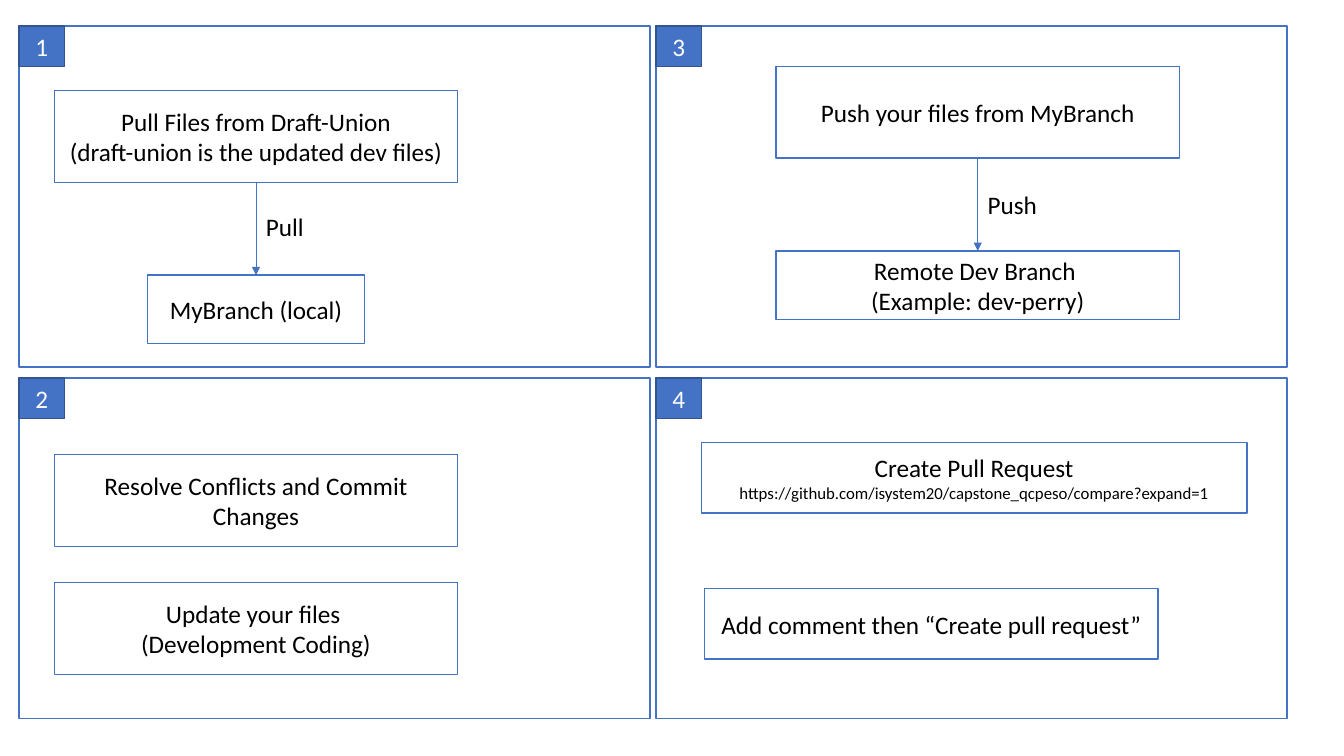
from dataclasses import dataclass

import pptx
import pptx.dml.color
import pptx.enum.dml
import pptx.enum.shapes
import pptx.enum.text
import pptx.oxml
import pptx.oxml.ns
import pptx.presentation
import pptx.shapes.autoshape
import pptx.slide
import pptx.text.text
import pptx.util

Pt = pptx.util.Pt
RGB = pptx.dml.color.RGBColor
ALIGN = pptx.enum.text.PP_ALIGN
ANCHOR = pptx.enum.text.MSO_ANCHOR


@dataclass(frozen=True)
class Theme:
    font: str = "Calibri"
    body_size: float = 18
    link_size: float = 12
    accent: RGB = RGB(0x44, 0x72, 0xC4)
    badge_edge: RGB = RGB(0x32, 0x54, 0x91)
    paper: RGB = RGB(0xFF, 0xFF, 0xFF)
    ink: RGB = RGB(0, 0, 0)
    box_line: float = 1
    arrow_line: float = 0.5


@dataclass(frozen=True)
class Box:
    """A rectangle in points; in its text, \\n starts a paragraph and \\v a line."""
    left: float
    top: float
    width: float
    height: float
    text: str = ""
    link: str = ""


@dataclass(frozen=True)
class Panel:
    number: int
    column: int
    row: int
    steps: tuple[Box, ...]
    arrow_label: str = ""
    label_top: float = 0


THEME = Theme()
PANEL_LEFT, PANEL_TOP = 13.68, 18.72
PANEL_WIDTH, PANEL_HEIGHT = 450.72, 243.36
COLUMN_STEP, ROW_STEP = 455.04, 251.28
BADGE_WIDTH, BADGE_HEIGHT = 32.4, 28.8
LABEL_WIDTH, LABEL_HEIGHT = 76.32, 28.8
STEP_WIDTH, STEP_HEIGHT = 288, 65.52

PANELS = (
    Panel(1, 0, 0, (
        Box(38.88, 64.8, STEP_WIDTH, STEP_HEIGHT,
            "Pull Files from Draft-Union\n(draft-union is the updated dev files)"),
        Box(105.48, 196.56, 154.8, 48.96, "MyBranch (local)"),
    ), "Pull", 147.6),
    Panel(2, 0, 1, (
        Box(38.88, 324.72, STEP_WIDTH, STEP_HEIGHT, "Resolve Conflicts and Commit Changes"),
        Box(38.88, 416.16, STEP_WIDTH, STEP_HEIGHT, "Update your files \v(Development Coding)"),
    )),
    Panel(3, 1, 0, (
        Box(554.4, 47.52, STEP_WIDTH, STEP_HEIGHT, "Push your files from MyBranch"),
        Box(554.4, 179.28, STEP_WIDTH, 48.96, "Remote Dev Branch \v(Example: dev-perry)"),
    ), "Push", 131.76),
    Panel(4, 1, 1, (
        Box(501.12, 316.08, 389.52, 50.4, "Create Pull Request\v",
            "https://github.com/isystem20/capstone_qcpeso/compare?expand=1"),
        Box(503.28, 420.48, 324, 50.4, "Add comment then “Create pull request”"),
    )),
)


def write_text(frame: pptx.text.text.TextFrame, text: str, color: RGB,
               align: ALIGN, link: str = "") -> None:
    frame.text = text
    frame.word_wrap = True
    for paragraph in frame.paragraphs:
        paragraph.alignment = align
        font_format = {"name": THEME.font, "size": Pt(THEME.body_size)}
        for run in paragraph.runs:
            for attribute, value in font_format.items():
                setattr(run.font, attribute, value)
            run.font.color.rgb = color
    if link:
        address = frame.paragraphs[-1].add_run()
        address.text = link
        link_format = {"name": THEME.font, "size": Pt(THEME.link_size)}
        for attribute, value in link_format.items():
            setattr(address.font, attribute, value)
        address.font.color.rgb = color


def draw_box(slide: pptx.slide.Slide, box: Box, fill: RGB = THEME.paper,
             edge: RGB = THEME.accent, ink: RGB = THEME.ink) -> pptx.shapes.autoshape.Shape:
    rectangle = slide.shapes.add_shape(
        pptx.enum.shapes.MSO_SHAPE.RECTANGLE,
        Pt(box.left), Pt(box.top), Pt(box.width), Pt(box.height))
    rectangle.shadow.inherit = False
    rectangle.fill.solid()
    rectangle.fill.fore_color.rgb = fill
    rectangle.line.color.rgb = edge
    rectangle.line.width = Pt(THEME.box_line)
    if box.text:
        rectangle.text_frame.vertical_anchor = ANCHOR.MIDDLE
        write_text(rectangle.text_frame, box.text, ink, ALIGN.CENTER, box.link)
    return rectangle


def draw_arrow(slide: pptx.slide.Slide, source: pptx.shapes.autoshape.Shape,
               target: pptx.shapes.autoshape.Shape) -> None:
    """Join the bottom of the source to the top of the target."""
    arrow = slide.shapes.add_connector(pptx.enum.shapes.MSO_CONNECTOR.STRAIGHT, 0, 0, 0, 0)
    arrow.begin_connect(source, 2)
    arrow.end_connect(target, 0)
    arrow.line.color.rgb = THEME.accent
    arrow.line.width = Pt(THEME.arrow_line)
    head = pptx.oxml.parse_xml(
        f'<a:tailEnd {pptx.oxml.ns.nsdecls("a")} type="triangle"/>')
    arrow.line._get_or_add_ln().append(head)
    arrow._element.spPr.append(
        pptx.oxml.parse_xml(f'<a:effectLst {pptx.oxml.ns.nsdecls("a")}/>'))


def draw_label(slide: pptx.slide.Slide, text: str, left: float, top: float) -> None:
    label = slide.shapes.add_textbox(Pt(left), Pt(top), Pt(LABEL_WIDTH), Pt(LABEL_HEIGHT))
    write_text(label.text_frame, text, THEME.ink, ALIGN.LEFT)
    label.text_frame.auto_size = pptx.enum.text.MSO_AUTO_SIZE.SHAPE_TO_FIT_TEXT


def draw_panel(slide: pptx.slide.Slide, panel: Panel) -> None:
    left = PANEL_LEFT + panel.column * COLUMN_STEP
    top = PANEL_TOP + panel.row * ROW_STEP
    draw_box(slide, Box(left, top, PANEL_WIDTH, PANEL_HEIGHT))
    draw_box(slide, Box(left, top, BADGE_WIDTH, BADGE_HEIGHT, str(panel.number)),
             THEME.accent, THEME.badge_edge, THEME.paper)
    first, second = [draw_box(slide, step) for step in panel.steps]
    if panel.arrow_label:
        draw_arrow(slide, first, second)
        source = panel.steps[0]
        draw_label(slide, panel.arrow_label, source.left + source.width / 2, panel.label_top)


def main() -> None:
    deck = pptx.Presentation()
    deck.slide_width, deck.slide_height = Pt(960), Pt(540)
    slide = deck.slides.add_slide(deck.slide_layouts[6])
    for panel in PANELS:
        draw_panel(slide, panel)
    deck.save("out.pptx")


if __name__ == "__main__":
    main()
